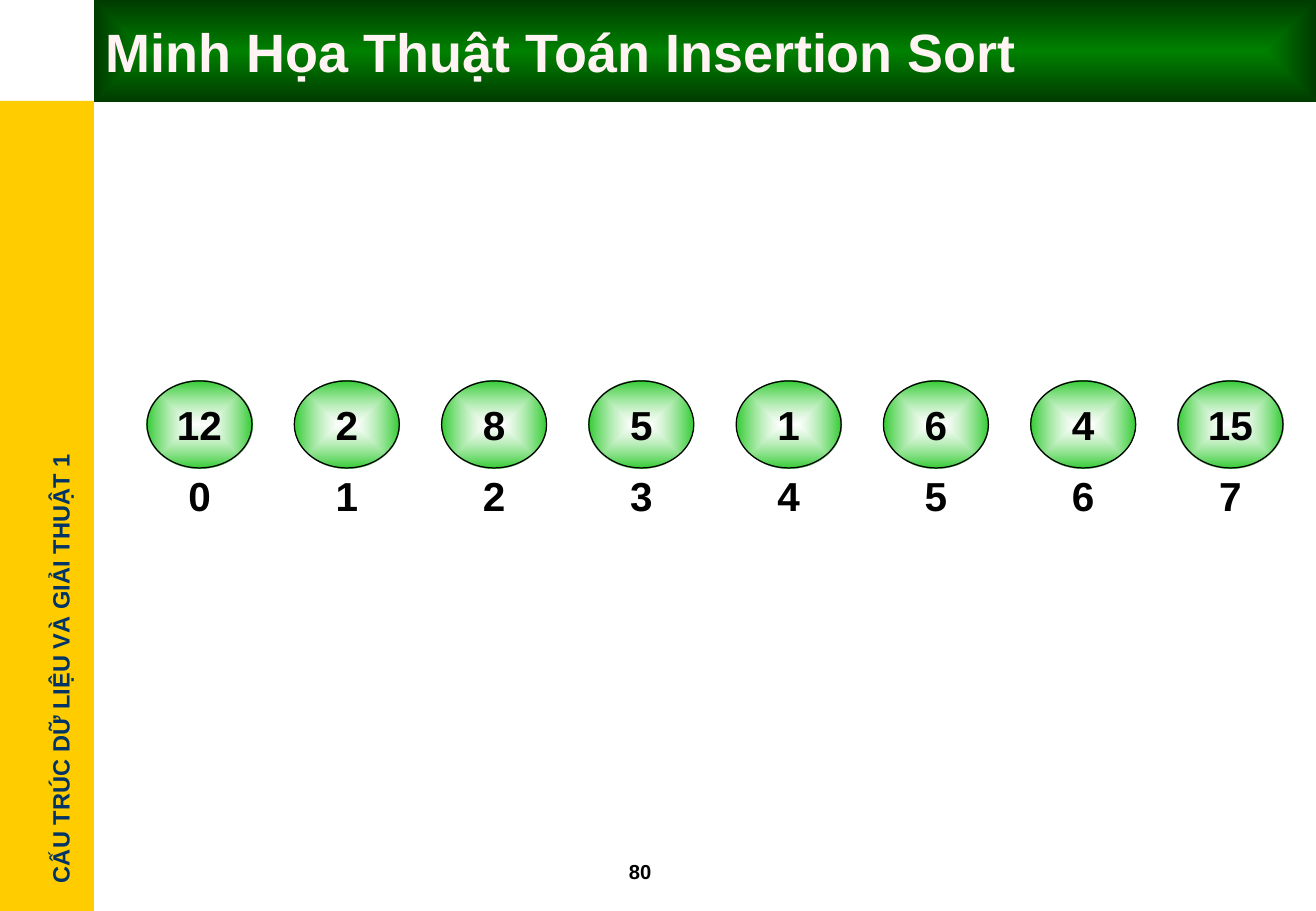
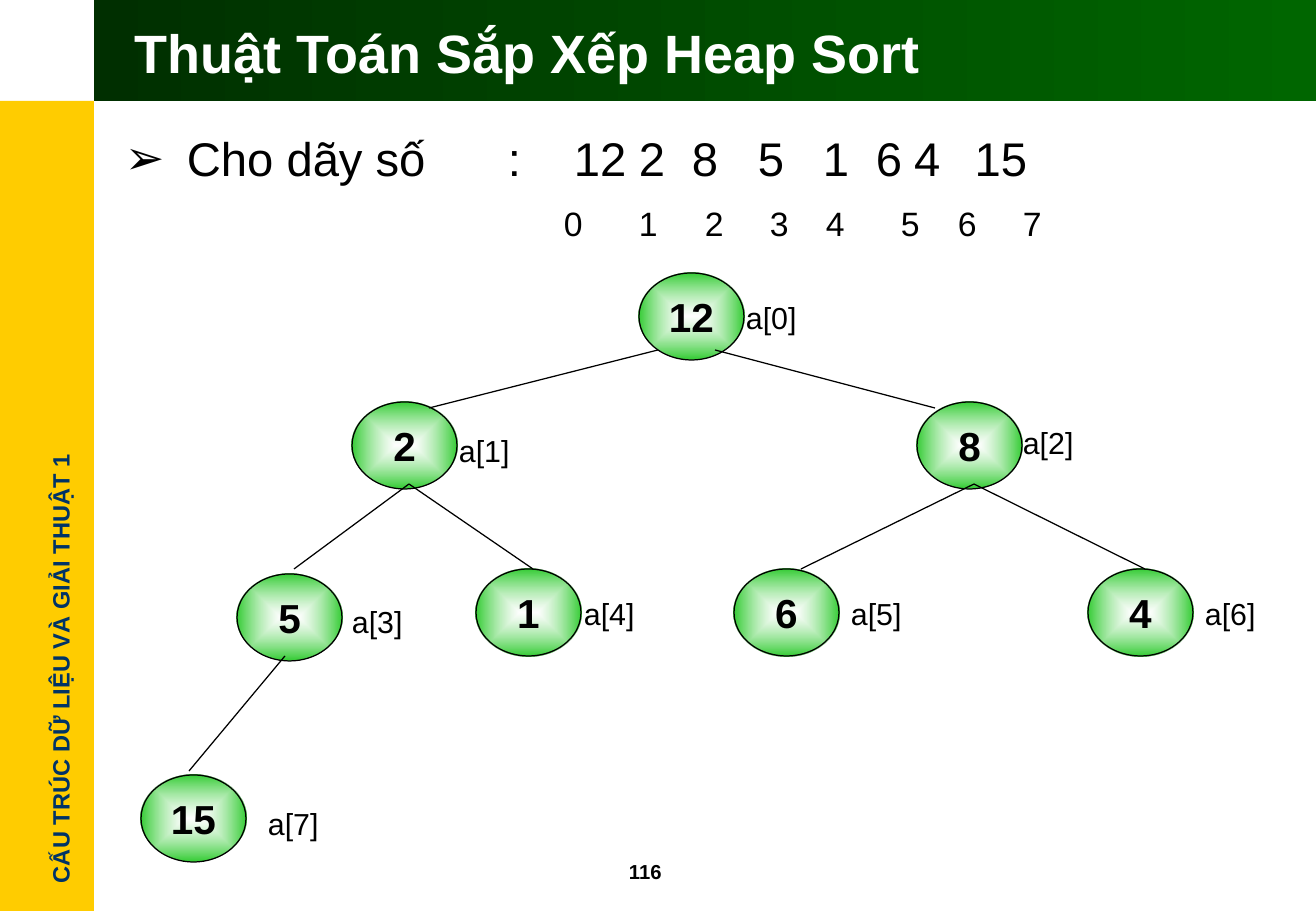
import dataclasses

import pptx
import pptx.dml.color
import pptx.enum.shapes
import pptx.enum.text
import pptx.oxml
import pptx.oxml.ns
import pptx.util
from lxml import etree

SHAPE = pptx.enum.shapes.MSO_SHAPE
ALIGN = pptx.enum.text.PP_ALIGN
ANCHOR = pptx.enum.text.MSO_ANCHOR
EMU_PER_PX = 7532
PAGE_WIDTH, PAGE_HEIGHT = 1316, 911


@dataclasses.dataclass(frozen=True)
class Theme:
    font: str = "Arial"
    ink: str = "000000"
    sidebar: str = "FFCC00"
    sidebar_ink: str = "003366"
    title_ink: str = "FFFFFF"
    title_warm: str = "FFF3F3"
    # Gradient stops: position, colour, opacity, all in percent or RRGGBB
    band: tuple = ((0, "002F00", 100), (100, "006600", 100))
    glow: tuple = ((0, "008000", 100), (100, "003B00", 100))
    node: tuple = ((0, "FFFFFF", 60), (100, "33CC33", 100))
    title_size: int = 32
    body_size: int = 28
    node_size: int = 24
    index_size: int = 20
    label_size: int = 18
    sidebar_size: int = 14
    number_size: int = 12
    line_width: float = 0.75


THEME = Theme()
NODE_WIDTH, NODE_HEIGHT = 105, 87


def px(length):
    return pptx.util.Emu(round(length * EMU_PER_PX))


def rgb(value):
    return pptx.dml.color.RGBColor.from_string(value)


def child(parent, tag, **attributes):
    element = etree.SubElement(parent, pptx.oxml.ns.qn(tag))
    for name, value in attributes.items():
        element.set(name, str(value))
    return element


# Shapes and text

def fill_gradient(shape, stops, centred):
    """Blend from the middle outwards if centred, else from left to right."""
    shape.fill.gradient()
    gradient = shape.fill._xPr.find(pptx.oxml.ns.qn("a:gradFill"))
    for part in list(gradient):
        gradient.remove(part)
    stop_list = child(gradient, "a:gsLst")
    for position, color, opacity in stops:
        stop = child(stop_list, "a:gs", pos=position * 1000)
        swatch = child(stop, "a:srgbClr", val=color)
        if opacity < 100:
            child(swatch, "a:alpha", val=opacity * 1000)
    if centred:
        middle = child(gradient, "a:path", path="rect")
        child(middle, "a:fillToRect", l=50000, t=50000, r=50000, b=50000)
    else:
        child(gradient, "a:lin", ang=0, scaled=0)


def add_block(page, kind, left, top, width, height, solid=None,
              gradient=None, centred=True, line=None):
    block = page.shapes.add_shape(kind, px(left), px(top), px(width), px(height))
    block.shadow.inherit = False
    if gradient:
        fill_gradient(block, gradient, centred)
    elif solid:
        block.fill.solid()
        block.fill.fore_color.rgb = rgb(solid)
    else:
        block.fill.background()
    if line:
        block.line.color.rgb = rgb(line)
        block.line.width = pptx.util.Pt(THEME.line_width)
    else:
        block.line.fill.background()
    return block


def write(box, text, size, color=THEME.ink, bold=False, align=ALIGN.LEFT,
          anchor=ANCHOR.TOP, wrap=True, add=False, bullet=None, indent=0,
          tabs=(), line_spacing=None, before=0):
    frame = box.text_frame
    frame.word_wrap = wrap
    frame.vertical_anchor = anchor
    para = frame.add_paragraph() if add else frame.paragraphs[0]
    properties = para._p.get_or_add_pPr()
    if bullet:
        properties.set("marL", str(px(indent)))
        properties.set("indent", str(-px(indent)))
        child(child(properties, "a:buClr"), "a:srgbClr", val=color)
        child(properties, "a:buFont", typeface=THEME.font)
        child(properties, "a:buChar", char=bullet)
    if tabs:
        tab_list = child(properties, "a:tabLst")
        for stop in tabs:
            child(tab_list, "a:tab", pos=px(stop), algn="l")
    para.alignment = align
    if line_spacing:
        para.line_spacing = line_spacing
    if before:
        para.space_before = pptx.util.Pt(before)
    span = para.add_run()
    span.text = text
    span.font.name = THEME.font
    span.font.size = pptx.util.Pt(size)
    span.font.bold = bold
    span.font.color.rgb = rgb(color)


def add_text(page, text, left, top, width, height, **style):
    box = page.shapes.add_textbox(px(left), px(top), px(width), px(height))
    write(box, text, **style)
    return box


def add_node(page, text, left, top, filled=True):
    node = add_block(page, SHAPE.OVAL, left, top, NODE_WIDTH, NODE_HEIGHT,
                     gradient=THEME.node if filled else None,
                     line=THEME.ink if filled else None)
    write(node, text, size=THEME.node_size, bold=True, align=ALIGN.CENTER,
          anchor=ANCHOR.MIDDLE)


def add_edge(page, start, end):
    edge = page.shapes.add_connector(
        pptx.enum.shapes.MSO_CONNECTOR.STRAIGHT,
        px(start[0]), px(start[1]), px(end[0]), px(end[1]))
    edge.line.color.rgb = rgb(THEME.ink)
    edge.line.width = pptx.util.Pt(THEME.line_width)
    child(edge._element.spPr, "a:effectLst")


# Regions

def add_frame(deck, number):
    """New page with the side bar, title band and page number."""
    page = deck.slides.add_slide(deck.slide_layouts[6])
    add_block(page, SHAPE.RECTANGLE, 0, 101, 94, PAGE_HEIGHT - 101,
              solid=THEME.sidebar)
    course = add_text(page, "CẤU TRÚC DỮ LIỆU VÀ GIẢI THUẬT 1",
                      -166, 648, 453, 41, size=THEME.sidebar_size,
                      color=THEME.sidebar_ink, bold=True, wrap=False)
    course.rotation = 270
    add_block(page, SHAPE.RECTANGLE, 94, 0, PAGE_WIDTH - 94, 101,
              gradient=THEME.band, centred=False)
    add_text(page, str(number), 617, 853, 101, 36,
             size=THEME.number_size, bold=True)
    return page


def add_array(page, values, left, top, width):
    """Row of values spread evenly, with each index below."""
    pitch = (width - NODE_WIDTH) / (len(values) - 1)
    for index, value in enumerate(values):
        add_node(page, str(value), left + index * pitch, top)
        add_node(page, str(index), left + index * pitch, top + 71, filled=False)


def add_sequence(page, values, left, top, width, height):
    """Bulleted line of values over a line of their indexes."""
    box = add_text(page, "\t".join(["Cho dãy số", ":", *map(str, values)]),
                   left, top, width, height, size=THEME.body_size,
                   bullet="➢", indent=62, line_spacing=0.9,
                   tabs=(265, 291, 383, 449, 514, 567, 633, 698, 751))
    write(box, "".join(f"\t{index}" for index in range(len(values))),
          size=THEME.index_size, add=True, line_spacing=0.9, before=12,
          tabs=(439, 514, 580, 645, 701, 776, 833, 898))


def add_tree(page, values, left, top):
    """Binary tree of the values, placed from its top left corner."""
    # Node position, then the offset of its label
    places = [
        (498, 0, 95, 20), (211, 129, 95, 24), (776, 129, 94, 16),
        (96, 301, 103, 23), (335, 296, 96, 20), (593, 296, 105, 20),
        (947, 296, 105, 20), (0, 502, 115, 24),
    ]
    edges = [
        (517, 77, 288, 135), (574, 77, 794, 135),
        (268, 211, 153, 296), (268, 211, 392, 296),
        (833, 211, 660, 296), (833, 211, 1004, 296),
        (144, 383, 48, 498),
    ]
    for index, (value, (x, y, shift, drop)) in enumerate(zip(values, places)):
        add_node(page, str(value), left + x, top + y)
        add_text(page, f"a[{index}]", left + x + shift, top + y + drop,
                 106, 49, size=THEME.label_size)
    for x1, y1, x2, y2 in edges:
        add_edge(page, (left + x1, top + y1), (left + x2, top + y2))


# Slides

def build_insertion_sort(deck, values):
    page = add_frame(deck, 80)
    title = add_block(page, SHAPE.RECTANGLE, 94, 0, PAGE_WIDTH - 94, 102,
                      gradient=THEME.glow)
    write(title, "Minh Họa Thuật Toán Insertion Sort", size=THEME.title_size,
          color=THEME.title_warm, bold=True, anchor=ANCHOR.MIDDLE)
    add_array(page, values, 147, 381, 1136)


def build_heap_sort(deck, values):
    page = add_frame(deck, 116)
    add_text(page, "Thuật Toán Sắp Xếp Heap Sort", 123, 11, 1167, 81,
             size=THEME.title_size, color=THEME.title_ink, bold=True,
             anchor=ANCHOR.MIDDLE)
    add_sequence(page, values, 113, 130, 1157, 134)
    add_tree(page, values, 141, 273)


def main():
    deck = pptx.Presentation()
    deck.slide_width, deck.slide_height = px(PAGE_WIDTH), px(PAGE_HEIGHT)
    values = [12, 2, 8, 5, 1, 6, 4, 15]
    build_insertion_sort(deck, values)
    build_heap_sort(deck, values)
    deck.save("out.pptx")


if __name__ == "__main__":
    main()
